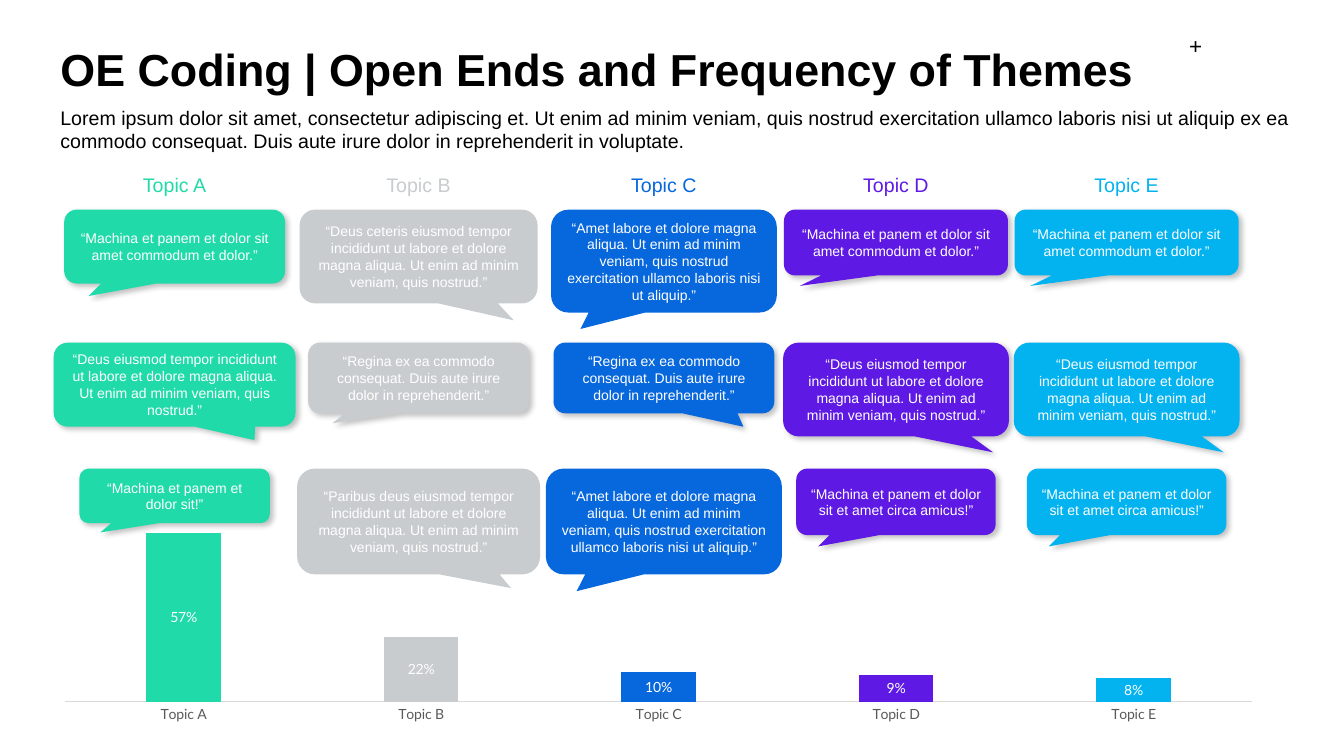
from collections import namedtuple
from dataclasses import dataclass

from lxml import etree
from pptx import Presentation
from pptx import util as u
from pptx.chart import data as cd
from pptx.dml import color as dc
from pptx.enum import chart as ec, shapes as es, text as et
from pptx.oxml import ns, parse_xml


@dataclass(frozen=True)
class Theme:
    font: str = "Arial"
    chart_font: str = "Lato"
    black: str = "000000"
    white: str = "FFFFFF"
    grey: str = "595959"
    rule: str = "D9D9D9"
    green: str = "20DBA9"
    silver: str = "C8CCCE"
    blue: str = "0767DC"
    purple: str = "5F19E4"
    sky: str = "03B3F0"
    title: int = 32
    mark: int = 16
    lead: int = 14
    small: int = 10


T = Theme()
Box = namedtuple("Box", "x y w h")
Quote = namedtuple("Quote", "w h tip_x tip_y shade words")
Topic = namedtuple("Topic", "name tint mid wide share quotes")

MACHINE = "“Machina et panem et dolor sit amet commodum et dolor.”"
FRIEND = "“Machina et panem et dolor sit et amet circa amicus!”"
SHORT = "“Machina et panem et dolor sit!”"
QUEEN = "“Regina ex ea commodo consequat. Duis aute irure dolor in reprehenderit.”"
TAIL = "eiusmod tempor incididunt ut labore et dolore magna aliqua. Ut enim ad minim veniam, quis nostrud.”"
AMET = "“Amet labore et dolore magna aliqua. Ut enim ad minim veniam, quis nostrud exercitation ullamco laboris nisi ut aliquip.”"
INTRO = (
    "Lorem ipsum dolor sit amet, consectetur adipiscing et. Ut enim ad minim veniam, "
    "quis nostrud exercitation ullamco laboris nisi ut aliquip ex ea commodo consequat. "
    "Duis aute irure dolor in reprehenderit in voluptate."
)

LAST = [
    Quote(160, 47, -0.43, 0.66, True, MACHINE),
    Quote(161.25, 67, 0.43, 0.67, True, "“Deus " + TAIL),
    Quote(142.5, 47.5, -0.39, 0.67, True, FRIEND),
]
TOPICS = [
    Topic("Topic A", T.green, 124.75, 170.5, 0.57, [
        Quote(157.75, 52.75, -0.39, 0.67, True, MACHINE),
        Quote(172.75, 60, 0.33, 0.66, True, "“Deus " + TAIL),
        Quote(136, 39, -0.39, 0.67, True, SHORT),
    ]),
    Topic("Topic B", T.silver, 299, 152, 0.22, [
        Quote(170, 67, 0.4, 0.68, False, "“Deus ceteris " + TAIL),
        Quote(157.75, 50.5, -0.39, 0.64, True, QUEEN),
        Quote(173.5, 75.5, 0.38, 0.63, False, "“Paribus deus " + TAIL),
    ]),
    Topic("Topic C", T.blue, 474.25, 152, 0.1, [
        Quote(161.25, 73.5, -0.37, 0.66, False, AMET),
        Quote(157.75, 50.5, 0.36, 0.69, True, QUEEN),
        Quote(168.5, 75.5, -0.37, 0.66, False, AMET),
    ]),
    Topic("Topic D", T.purple, 640, 202.5, 0.09, LAST),
    Topic("Topic E", T.sky, 804.75, 202.5, 0.08, LAST),
]
HEAD_H = 24.5
ROWS = (29.5, 124.5, 214.5)


def rgb(tint):
    return dc.RGBColor.from_string(tint)


def place(box):
    return [u.Pt(v) for v in box]


def style(font, size, tint, face=T.font, bold=False):
    font.name, font.size, font.bold = face, u.Pt(size), bold
    font.color.rgb = rgb(tint)


def write(shape, words, size, tint, side, bold=False, mid=True):
    frame = shape.text_frame
    frame.text = words
    frame.word_wrap = True
    frame.vertical_anchor = et.MSO_ANCHOR.MIDDLE if mid else et.MSO_ANCHOR.TOP
    for par in frame.paragraphs:
        par.alignment = side
        for run in par.runs:
            style(run.font, size, tint, bold=bold)


def label(slide, box, words, size, tint, side=et.PP_ALIGN.CENTER, mid=False):
    shape = slide.shapes.add_textbox(*place(box))
    write(shape, words, size, tint, side, mid=mid)
    shape.text_frame.auto_size = et.MSO_AUTO_SIZE.SHAPE_TO_FIT_TEXT


def header(slide, box):
    title = slide.shapes.title
    title.left, title.top, title.width, title.height = place(Box(box.x, box.y, 828, 77.75))
    write(title, "OE Coding | Open Ends and Frequency of Themes",
          T.title, T.black, et.PP_ALIGN.LEFT, bold=True)
    title.text_frame.auto_size = et.MSO_AUTO_SIZE.NONE
    title.text_frame.paragraphs[0].line_spacing = 0.9
    label(slide, Box(box.x, box.y + 59.75, box.w, 41), INTRO, T.lead, T.black,
          et.PP_ALIGN.LEFT)
    label(slide, Box(box.x + 805, box.y + 7.25, 26, 26.5), "+", T.mark, T.black, mid=True)


def cast(shape):
    glow = shape.element.spPr.find(ns.qn("a:effectLst"))
    glow.append(parse_xml(
        f'<a:outerShdw {ns.nsdecls("a")} blurRad="{u.Pt(4)}" dist="{u.Pt(3)}" '
        f'dir="2700000" algn="tl" rotWithShape="0"><a:srgbClr val="{T.black}">'
        '<a:alpha val="24000"/></a:srgbClr></a:outerShdw>'))


def bubble(slide, box, quote, tint):
    shape = slide.shapes.add_shape(es.MSO_SHAPE.ROUNDED_RECTANGULAR_CALLOUT, *place(box))
    for i, val in enumerate((quote.tip_x, quote.tip_y, 0.167)):
        shape.adjustments[i] = val
    shape.fill.solid()
    shape.fill.fore_color.rgb = rgb(tint)
    shape.line.fill.background()
    shape.shadow.inherit = False
    if quote.shade:
        cast(shape)
    write(shape, quote.words, T.small, T.white, et.PP_ALIGN.CENTER)


def column(slide, box, topic):
    label(slide, Box(box.x, box.y, box.w, HEAD_H), topic.name, T.lead, topic.tint)
    mid = box.x + box.w / 2
    for row, quote in zip(ROWS, topic.quotes):
        spot = Box(mid - quote.w / 2, box.y + row, quote.w, quote.h)
        bubble(slide, spot, quote, topic.tint)


def fit_plot(chart, box):
    plot = chart._chartSpace.chart.plotArea
    old = plot.find(ns.qn("c:layout"))
    if old is not None:
        plot.remove(old)
    frame = etree.Element(ns.qn("c:layout"))
    hand = etree.SubElement(frame, ns.qn("c:manualLayout"))
    parts = [("layoutTarget", "inner"), ("xMode", "edge"), ("yMode", "edge")]
    parts += zip("xywh", box)
    for tag, val in parts:
        etree.SubElement(hand, ns.qn("c:" + tag)).set("val", str(val))
    plot.insert(0, frame)


def bars(slide, box):
    data = cd.CategoryChartData(number_format="0%")
    data.categories = [t.name for t in TOPICS]
    data.add_series("Series 1", [t.share for t in TOPICS])
    chart = slide.shapes.add_chart(ec.XL_CHART_TYPE.COLUMN_CLUSTERED, *place(box), data).chart
    chart.has_legend = chart.has_title = False
    style(chart.font, T.small, T.black)
    base, scale = chart.category_axis, chart.value_axis
    base.major_tick_mark = ec.XL_TICK_MARK.NONE
    style(base.tick_labels.font, T.small, T.grey, T.chart_font)
    base.format.line.color.rgb = rgb(T.rule)
    base.format.line.width = u.Pt(0.75)
    scale.visible = scale.has_major_gridlines = False
    scale.minimum_scale, scale.maximum_scale = 0, 0.6
    plot = chart.plots[0]
    plot.gap_width, plot.overlap, plot.vary_by_categories = 219, -27, False
    series = plot.series[0]
    series.format.fill.solid()
    series.format.fill.fore_color.rgb = rgb(T.green)
    for i, topic in enumerate(TOPICS[1:], 1):
        fill = series.points[i].format.fill
        fill.solid()
        fill.fore_color.rgb = rgb(topic.tint)
    tags = series.data_labels
    tags.show_value = True
    tags.position = ec.XL_LABEL_POSITION.CENTER
    tags.number_format, tags.number_format_is_linked = "0%", False
    style(tags.font, T.small, T.white, T.chart_font)
    fit_plot(chart, Box(0.02, 0.02, 0.96, 0.86))


def main():
    deck = Presentation()
    deck.slide_width, deck.slide_height = u.Pt(960), u.Pt(540)
    slide = deck.slides.add_slide(deck.slide_layouts[5])
    header(slide, Box(36, 12.25, 917.25, 101))
    bars(slide, Box(28.75, 371.5, 883.5, 147.5))
    for topic in TOPICS:
        column(slide, Box(topic.mid - topic.wide / 2, 120.25, topic.wide, 303), topic)
    deck.save("out.pptx")


if __name__ == "__main__":
    main()
